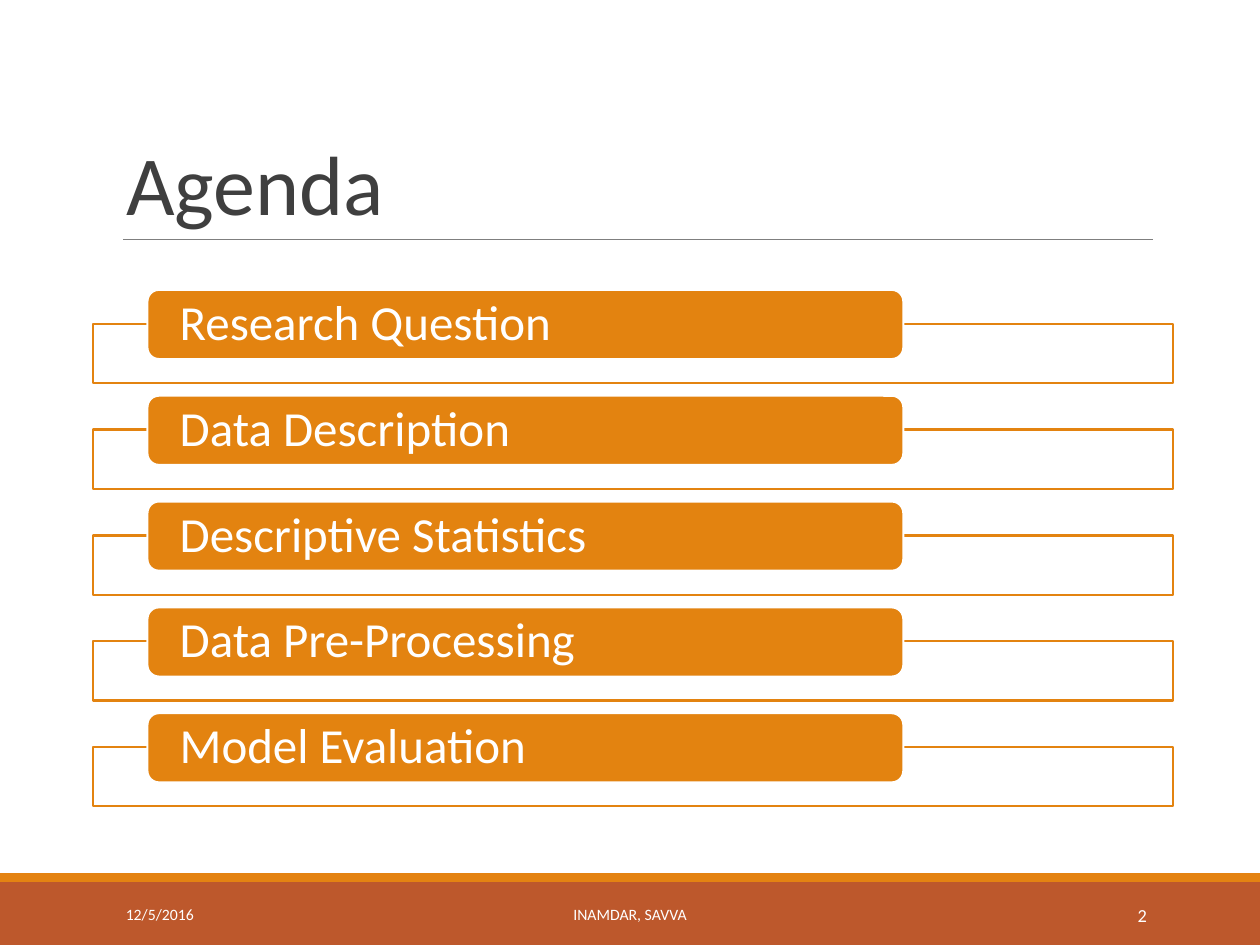
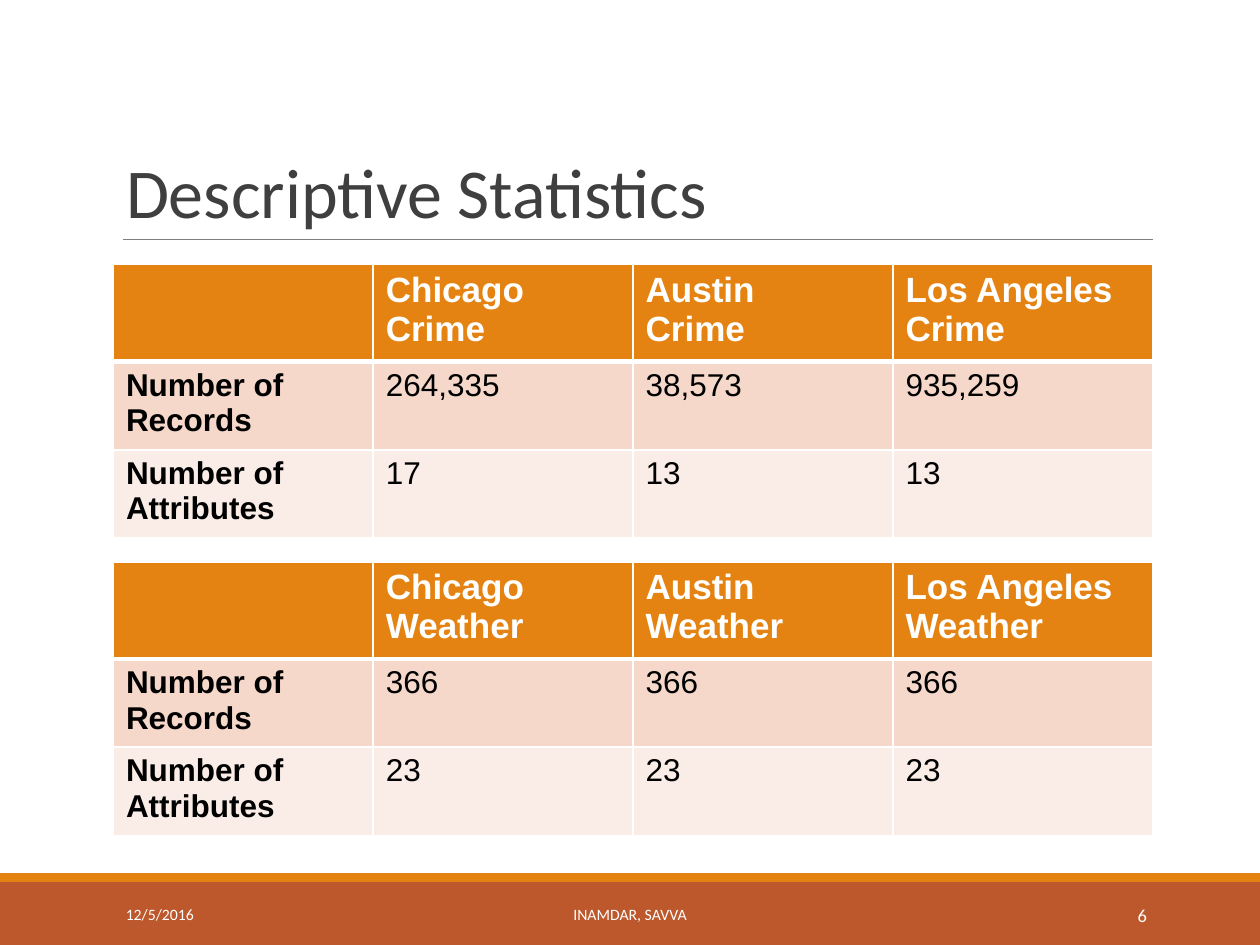
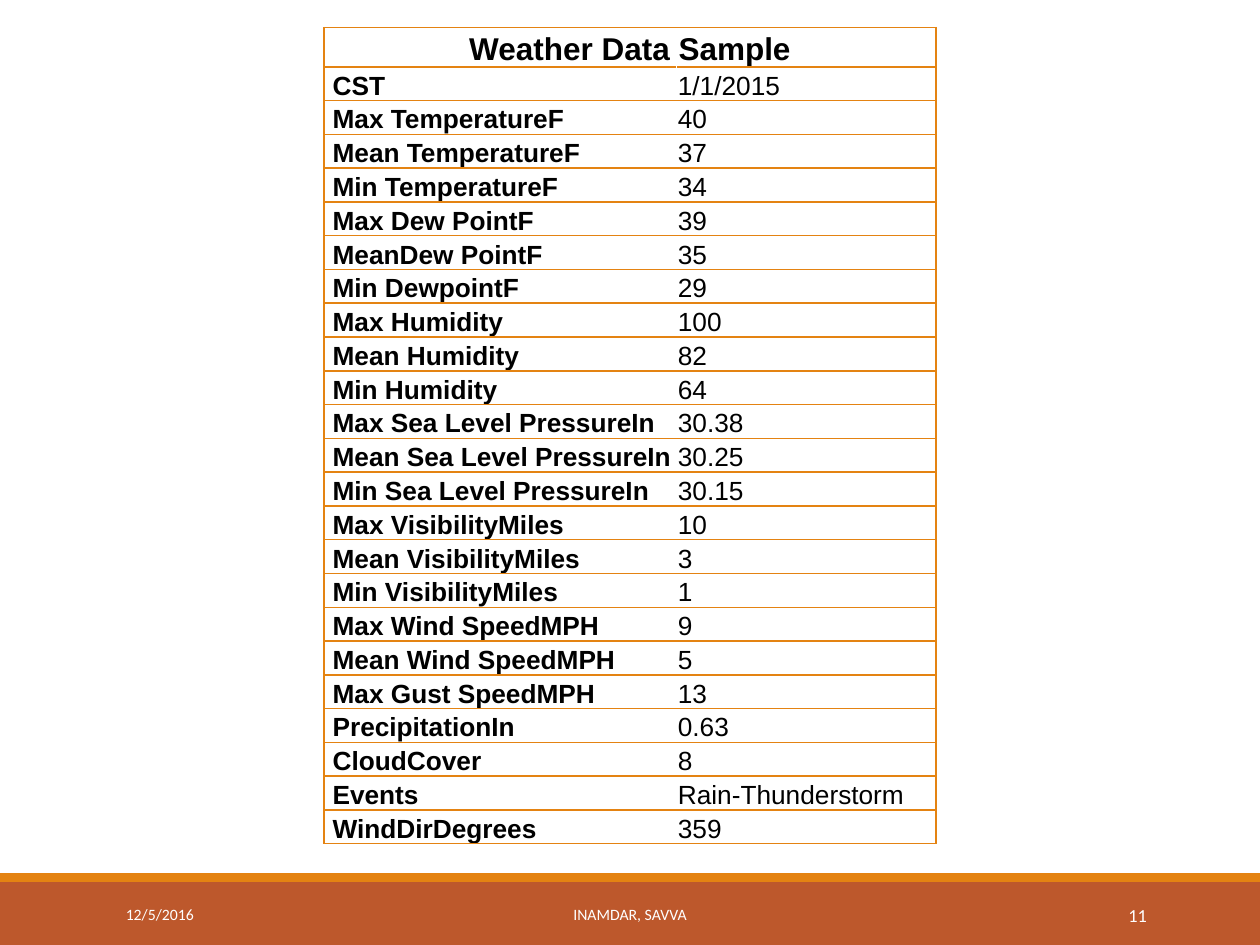
import dataclasses

import lxml.etree
import pptx
import pptx.dml.color
import pptx.enum.shapes
import pptx.enum.text
import pptx.oxml.ns
import pptx.util

Inches = pptx.util.Inches
Pt = pptx.util.Pt
Shape = pptx.enum.shapes.MSO_SHAPE
Align = pptx.enum.text.PP_ALIGN
Anchor = pptx.enum.text.MSO_ANCHOR
qn = pptx.oxml.ns.qn


@dataclasses.dataclass(frozen=True)
class Theme:
    """Colours, fonts and type sizes of the deck."""
    rust: str = "BD582C"
    amber: str = "E48312"
    pill: str = "E38310"
    white: str = "FFFFFF"
    black: str = "000000"
    ink: str = "3F3F3F"
    gray: str = "7F7F7F"
    bands: tuple = ("F5D8CA", "FAECE6")
    main: str = "Calibri"
    grid: str = "Arial"
    title: float = 48
    small: float = 40
    item: float = 28
    head: float = 20
    cell: float = 18
    dense: float = 15
    foot: float = 9
    page: float = 10.5


def tint(code):
    """Turn a hex code into a colour."""
    return pptx.dml.color.RGBColor.from_string(code)


def write(frame, words, font="Calibri", size=18, color="000000", bold=False,
          align=Align.LEFT, anchor=Anchor.TOP, space=1.0,
          inset=(0.1, 0.05, 0.1, 0.05)):
    """Fill a text frame with one formatted paragraph."""
    frame.word_wrap = True
    frame.auto_size = pptx.enum.text.MSO_AUTO_SIZE.NONE
    frame.vertical_anchor = anchor
    (frame.margin_left, frame.margin_top,
     frame.margin_right, frame.margin_bottom) = map(Inches, inset)
    style(frame.paragraphs[0], words, font, size, color, bold, align, space)


def style(para, words, font, size, color, bold, align, space):
    """Set the words of a paragraph and their look."""
    para.text = words
    para.alignment = align
    para.line_spacing = space
    for run in para.runs:
        run.font.name = font
        run.font.size = Pt(size)
        run.font.bold = bold
        run.font.color.rgb = tint(color)


class Deck:
    """Holds the theme and the current slide."""

    def __init__(self, theme):
        """Start an empty deck."""
        self.theme = theme
        self.show = pptx.Presentation()
        self.show.slide_width = Inches(10)
        self.show.slide_height = Inches(7.5)
        self.slide = None

    def start(self, page, title=None, size=None):
        """Add a slide with bands, footer and perhaps a title."""
        look = self.theme
        layout = self.show.slide_layouts[5 if title else 6]
        self.slide = self.show.slides.add_slide(layout)
        self.box((0, 7, 10, 0.5), look.rust)
        self.box((0, 6.93, 10, 0.07), look.amber)
        if title:
            self.rule(0.98, 1.9, 9.15)
            self.title(title, size)
        self.label((0.9, 7.06, 2.03, 0.4), "12/5/2016", look.foot, Align.LEFT)
        self.label((3.02, 7.06, 3.96, 0.4), "INAMDAR, SAVVA", look.foot,
                   Align.CENTER)
        self.label((8.12, 7.06, 1.08, 0.4), page, look.page, Align.RIGHT)

    def title(self, words, size):
        """Place and format the title placeholder."""
        head = self.slide.shapes.title
        head.left, head.top = Inches(0.9), Inches(0.31)
        head.width, head.height = Inches(8.25), Inches(1.59)
        write(head.text_frame, words, font=self.theme.main, size=size,
              color=self.theme.ink, anchor=Anchor.BOTTOM, space=0.85)

    def box(self, spot, fill, line=None, kind=Shape.RECTANGLE):
        """Add a filled shape, outlined if a line colour is given."""
        shape = self.slide.shapes.add_shape(kind, *map(Inches, spot))
        shape.shadow.inherit = False
        shape.fill.solid()
        shape.fill.fore_color.rgb = tint(fill)
        if line:
            shape.line.color.rgb = tint(line)
            shape.line.width = Pt(1.25)
        else:
            shape.line.fill.background()
        return shape

    def rule(self, left, top, right):
        """Draw a thin level line."""
        line = self.slide.shapes.add_connector(
            pptx.enum.shapes.MSO_CONNECTOR.STRAIGHT,
            *map(Inches, (left, top, right, top)))
        line.line.color.rgb = tint(self.theme.gray)
        line.line.width = Pt(0.75)
        lxml.etree.SubElement(line._element.spPr, qn("a:effectLst"))

    def label(self, spot, words, size, align):
        """Add a footer text."""
        area = self.slide.shapes.add_textbox(*map(Inches, spot))
        write(area.text_frame, words, font=self.theme.main, size=size,
              color=self.theme.white, align=align, anchor=Anchor.MIDDLE)

    def agenda(self, items):
        """Stack pills, each over an outlined bar."""
        look = self.theme
        for row, words in enumerate(items):
            top = 2.3 + 0.84 * row
            self.box((0.74, top + 0.27, 8.57, 0.47), look.white, look.pill)
            pill = self.box((1.17, top, 6, 0.55), look.pill, look.white,
                            Shape.ROUNDED_RECTANGLE)
            write(pill.text_frame, words, font=look.main, size=look.item,
                  color=look.white, anchor=Anchor.MIDDLE, space=0.9,
                  inset=(0.23, 0, 0.23, 0))

    def table(self, spot, cols, rows):
        """Add a table without style bands, sized by its columns and rows."""
        grid = self.slide.shapes.add_table(
            len(rows), len(cols), *map(Inches, spot)).table
        grid.first_row = grid.horz_banding = False
        for col, wide in zip(grid.columns, cols):
            col.width = Inches(wide)
        for row, high in zip(grid.rows, rows):
            row.height = Inches(high)
        return grid

    def cell(self, cell, words, fill, edge, sides, **form):
        """Set borders, fill and text of a cell; sides maps L, R, T, B to points."""
        props = cell._tc.get_or_add_tcPr()
        for side in "LRTB":
            if side in sides:
                line = lxml.etree.SubElement(
                    props, qn("a:ln" + side), w=str(Pt(sides[side])))
                solid = lxml.etree.SubElement(line, qn("a:solidFill"))
                lxml.etree.SubElement(solid, qn("a:srgbClr"), val=edge)
        cell.fill.solid()
        cell.fill.fore_color.rgb = tint(fill)
        anchor = form.pop("anchor", Anchor.TOP)
        inset = form.pop("inset", (0.1, 0.05, 0.1, 0.05))
        cell.vertical_anchor = anchor
        (cell.margin_left, cell.margin_top,
         cell.margin_right, cell.margin_bottom) = map(Inches, inset)
        style(cell.text_frame.paragraphs[0], words, self.theme.grid,
              form["size"], form["color"], form.get("bold", False),
              form.get("align", Align.LEFT), 1.0)

    def counts(self, top, heads, *data):
        """Add a banded table of records and attributes by city."""
        look = self.theme
        names = ("Number of Records", "Number of Attributes")
        body = [("", *heads)] + [(n, *d) for n, d in zip(names, data)]
        grid = self.table((0.9, top, 8.25, 2.17), [8.25 / 4] * 4,
                          [0.77, 0.7, 0.7])
        for r, line in enumerate(body):
            sides = dict(L=1, R=1, T=3 if r == 1 else 1, B=1 if r else 3)
            for c, words in enumerate(line):
                self.cell(grid.cell(r, c), words,
                          look.bands[r - 1] if r else look.amber,
                          look.white, sides,
                          size=look.cell if r else look.head,
                          color=look.black if r else look.white,
                          bold=r == 0 or c == 0)

    def sample(self, head, pairs):
        """Add a ruled list of names and values under a merged head."""
        look = self.theme
        high = (6.48 - 0.31) / len(pairs)
        grid = self.table((2.57, 0.22, 4.86, 6.48), [2.8, 2.06],
                          [0.31] + [high] * len(pairs))
        grid.cell(0, 0).merge(grid.cell(0, 1))
        form = dict(color=look.black, anchor=Anchor.BOTTOM)
        full = dict(L=1, R=1, T=1, B=1)
        self.cell(grid.cell(0, 0), head, look.white, look.amber, full,
                  size=look.cell, bold=True, align=Align.CENTER,
                  inset=(0.01, 0.01, 0.01, 0), **form)
        for r, pair in enumerate(pairs, 1):
            for c, words in enumerate(pair):
                sides = {"R" if c else "L": 1, "T": 1, "B": 1}
                self.cell(grid.cell(r, c), words, look.white, look.amber,
                          sides, size=look.dense, bold=c == 0,
                          inset=(0.01 if c else 0.07, 0.01, 0.01, 0), **form)


WEATHER = [
    ("CST", "1/1/2015"),
    ("Max TemperatureF", "40"),
    ("Mean TemperatureF", "37"),
    ("Min TemperatureF", "34"),
    ("Max Dew PointF", "39"),
    ("MeanDew PointF", "35"),
    ("Min DewpointF", "29"),
    ("Max Humidity", "100"),
    ("Mean Humidity", "82"),
    ("Min Humidity", "64"),
    ("Max Sea Level PressureIn", "30.38"),
    ("Mean Sea Level PressureIn", "30.25"),
    ("Min Sea Level PressureIn", "30.15"),
    ("Max VisibilityMiles", "10"),
    ("Mean VisibilityMiles", "3"),
    ("Min VisibilityMiles", "1"),
    ("Max Wind SpeedMPH", "9"),
    ("Mean Wind SpeedMPH", "5"),
    ("Max Gust SpeedMPH", "13"),
    ("PrecipitationIn", "0.63"),
    ("CloudCover", "8"),
    ("Events", "Rain-Thunderstorm"),
    ("WindDirDegrees", "359"),
]

deck = Deck(Theme())

deck.start("2", "Agenda", deck.theme.title)
deck.agenda(["Research Question", "Data Description",
             "Descriptive Statistics", "Data Pre-Processing",
             "Model Evaluation"])

deck.start("6", "Descriptive Statistics", deck.theme.small)
deck.counts(2.1, ("Chicago\nCrime", "Austin\nCrime", "Los Angeles Crime"),
            ("264,335", "38,573", "935,259"), ("17", "13", "13"))
deck.counts(4.46, ("Chicago Weather", "Austin\nWeather",
                   "Los Angeles\nWeather"),
            ["366"] * 3, ["23"] * 3)

deck.start("11")
deck.sample("Weather Data Sample", WEATHER)

deck.show.save("out.pptx")
